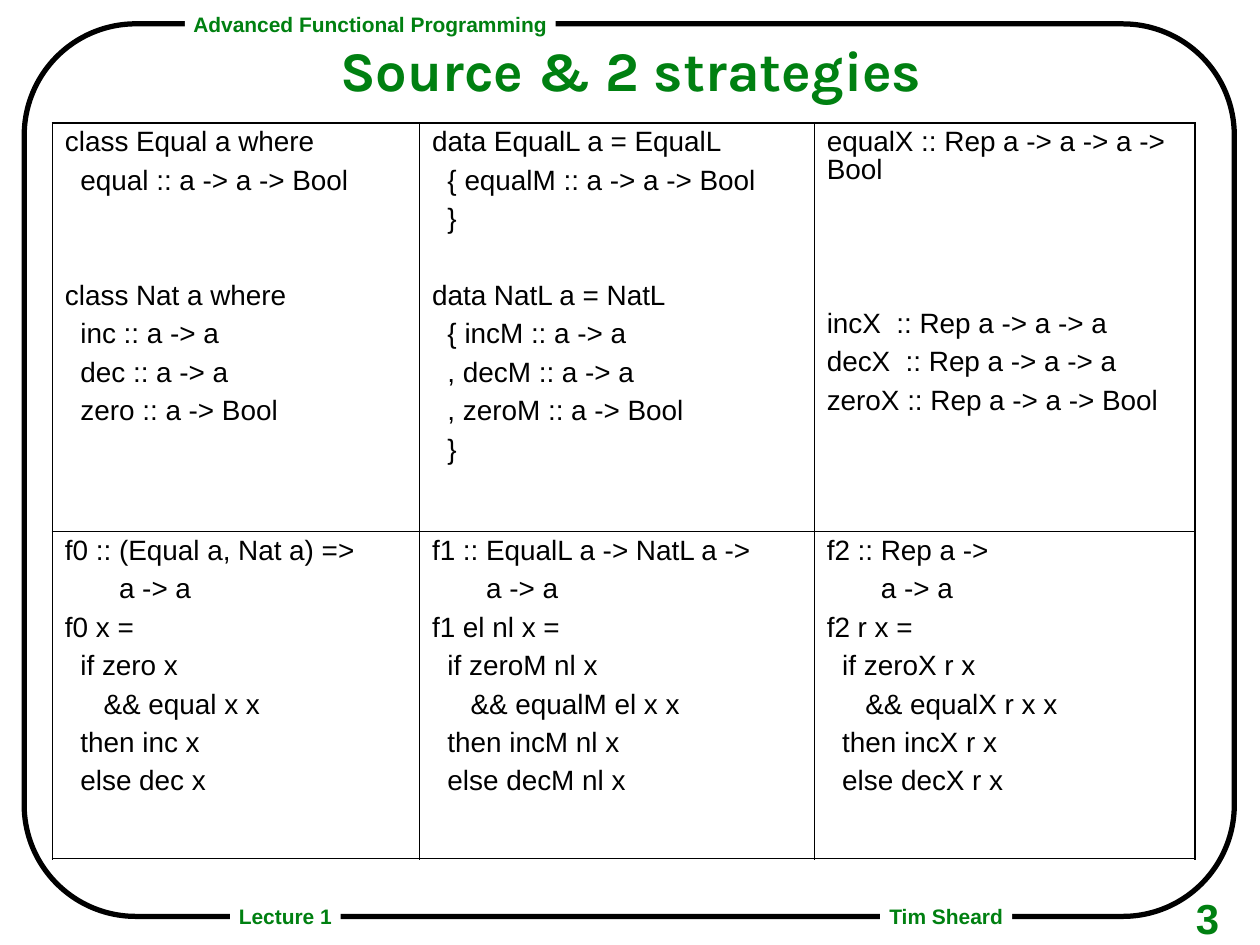
from collections import namedtuple

from lxml.etree import SubElement
from pptx import Presentation
from pptx.dml.color import RGBColor
from pptx.enum.shapes import MSO_SHAPE as Shape
from pptx.enum.text import MSO_ANCHOR as Anchor, PP_ALIGN as Align
from pptx.oxml.ns import qn
from pptx.util import Emu, Inches, Pt

BLACK = RGBColor(0x00, 0x00, 0x00)
WHITE = RGBColor(0xFF, 0xFF, 0xFF)
GREEN = RGBColor(0x00, 0x80, 0x11)

WIDTH, HEIGHT = Emu(9163050), Emu(6872288)
OUTER_LINE, INNER_LINE = Pt(1.08), Pt(0.45)
LINE_GAP, BLANK_LINE = 6, 22

Box = namedtuple("Box", "left top width height")
Block = namedtuple("Block", "blank_lines lines")

LABELS = [
    ("Advanced Functional Programming", (14.67, 1.06, 29.44, 3.32)),
    ("Tim Sheard", (69.86, 95.35, 10.48, 3.32)),
    ("Lecture 1", (18.26, 95.35, 8.78, 3.32)),
]

COLUMN_SHARES = [2.92, 3.14, 3.03]
ROW_SHARES = [3.25, 2.6]
STRATEGIES = [
    [
        [
            Block(0, ["class Equal a where", "  equal :: a -> a -> Bool"]),
            Block(2, ["class Nat a where", "  inc :: a -> a",
                      "  dec :: a -> a", "  zero :: a -> Bool"]),
        ],
        [
            Block(0, ["data EqualL a = EqualL", "  { equalM :: a -> a -> Bool", "  }"]),
            Block(1, ["data NatL a = NatL", "  { incM :: a -> a",
                      "  , decM :: a -> a", "  , zeroM :: a -> Bool", "  }"]),
        ],
        [
            Block(0, ["equalX :: Rep a -> a -> a -> Bool"]),
            Block(3, ["incX  :: Rep a -> a -> a", "decX  :: Rep a -> a -> a",
                      "zeroX :: Rep a -> a -> Bool"]),
        ],
    ],
    [
        [Block(0, ["f0 :: (Equal a, Nat a) =>", "       a -> a", "f0 x =",
                   "  if zero x", "     && equal x x",
                   "  then inc x", "  else dec x"])],
        [Block(0, ["f1 :: EqualL a -> NatL a ->", "       a -> a", "f1 el nl x =",
                   "  if zeroM nl x", "     && equalM el x x",
                   "  then incM nl x", "  else decM nl x"])],
        [Block(0, ["f2 :: Rep a ->", "       a -> a", "f2 r x =",
                   "  if zeroX r x", "     && equalX r x x",
                   "  then incX r x", "  else decX r x"])],
    ],
]


def percent_box(left, top, width, height):
    return Box(int(WIDTH * left / 100), int(HEIGHT * top / 100),
               int(WIDTH * width / 100), int(HEIGHT * height / 100))


def add_span(para, text, size, color, font="Arial", bold=False):
    span = para.add_run()
    span.text = text
    span.font.name = font
    span.font.size = Pt(size)
    span.font.bold = bold
    span.font.color.rgb = color


def set_frame(frame, anchor, wrap):
    frame.margin_left = frame.margin_right = Inches(0.07)
    frame.margin_top = frame.margin_bottom = Inches(0.03)
    frame.vertical_anchor = anchor
    frame.word_wrap = wrap


def add_border(page, box):
    border = page.shapes.add_shape(Shape.ROUNDED_RECTANGLE, *box)
    border.adjustments[0] = 0.125
    border.shadow.inherit = False
    border.fill.background()
    border.line.color.rgb = BLACK
    border.line.width = Pt(3)


def add_label(page, box, text):
    label = page.shapes.add_shape(Shape.RECTANGLE, *box)
    label.shadow.inherit = False
    label.fill.solid()
    label.fill.fore_color.rgb = WHITE
    label.line.fill.background()
    set_frame(label.text_frame, Anchor.MIDDLE, False)
    para = label.text_frame.paragraphs[0]
    para.alignment = Align.CENTER
    para.line_spacing = 0.97
    add_span(para, text, 12, GREEN, bold=True)


def add_page_number(page, box, number):
    frame = page.shapes.add_textbox(*box).text_frame
    set_frame(frame, Anchor.TOP, True)
    para = frame.paragraphs[0]
    para.line_spacing = 1.04
    add_span(para, number, 24, GREEN, bold=True)


def add_title(page, box, text):
    title = page.shapes.title
    title.left, title.top, title.width, title.height = box
    set_frame(title.text_frame, Anchor.TOP, True)
    para = title.text_frame.paragraphs[0]
    para.alignment = Align.CENTER
    para.line_spacing = 0.87
    add_span(para, text, 32, GREEN, font="Karla", bold=True)


def set_cell_border(cell, outer_sides):
    properties = cell._tc.get_or_add_tcPr()
    for side in "LRTB":
        width = OUTER_LINE if side in outer_sides else INNER_LINE
        line = SubElement(properties, qn(f"a:ln{side}"), w=str(int(width)))
        fill = SubElement(line, qn("a:solidFill"))
        SubElement(fill, qn("a:srgbClr"), val=str(BLACK))


def fill_code_cell(cell, blocks):
    frame = cell.text_frame
    para = frame.paragraphs[0]
    for block_index, block in enumerate(blocks):
        for line_index, line in enumerate(block.lines):
            if block_index or line_index:
                para = frame.add_paragraph()
                blanks = 0 if line_index else block.blank_lines
                para.space_before = Pt(LINE_GAP + BLANK_LINE * blanks)
            para.line_spacing = 0.9
            add_span(para, line, 16, BLACK)


def add_strategy_table(page, box, rows):
    last_row, last_column = len(ROW_SHARES) - 1, len(COLUMN_SHARES) - 1
    table = page.shapes.add_table(len(ROW_SHARES), len(COLUMN_SHARES), *box).table
    table.first_row = table.horz_banding = False
    for column, share in zip(table.columns, COLUMN_SHARES):
        column.width = int(box.width * share / sum(COLUMN_SHARES))
    for row, share in zip(table.rows, ROW_SHARES):
        row.height = int(box.height * share / sum(ROW_SHARES))
    for row, row_blocks in enumerate(rows):
        for column, blocks in enumerate(row_blocks):
            cell = table.cell(row, column)
            edges = {"L": column == 0, "R": column == last_column,
                     "T": row == 0, "B": row == last_row}
            set_cell_border(cell, [side for side, outer in edges.items() if outer])
            cell.fill.background()
            fill_code_cell(cell, blocks)


def main():
    deck = Presentation()
    deck.slide_width = WIDTH
    deck.slide_height = HEIGHT
    page = deck.slides.add_slide(deck.slide_layouts[5])
    add_border(page, percent_box(1.92, 2.53, 96.04, 94.45))
    for text, shares in LABELS:
        add_label(page, percent_box(*shares), text)
    add_page_number(page, percent_box(94.21, 93.9, 5.7, 6.1), "3")
    add_title(page, percent_box(25.55, 4.39, 49.1, 6.91), "Source & 2 strategies")
    add_strategy_table(page, percent_box(4.16, 13.03, 90.7, 77.84), STRATEGIES)
    deck.save("out.pptx")


if __name__ == "__main__":
    main()
